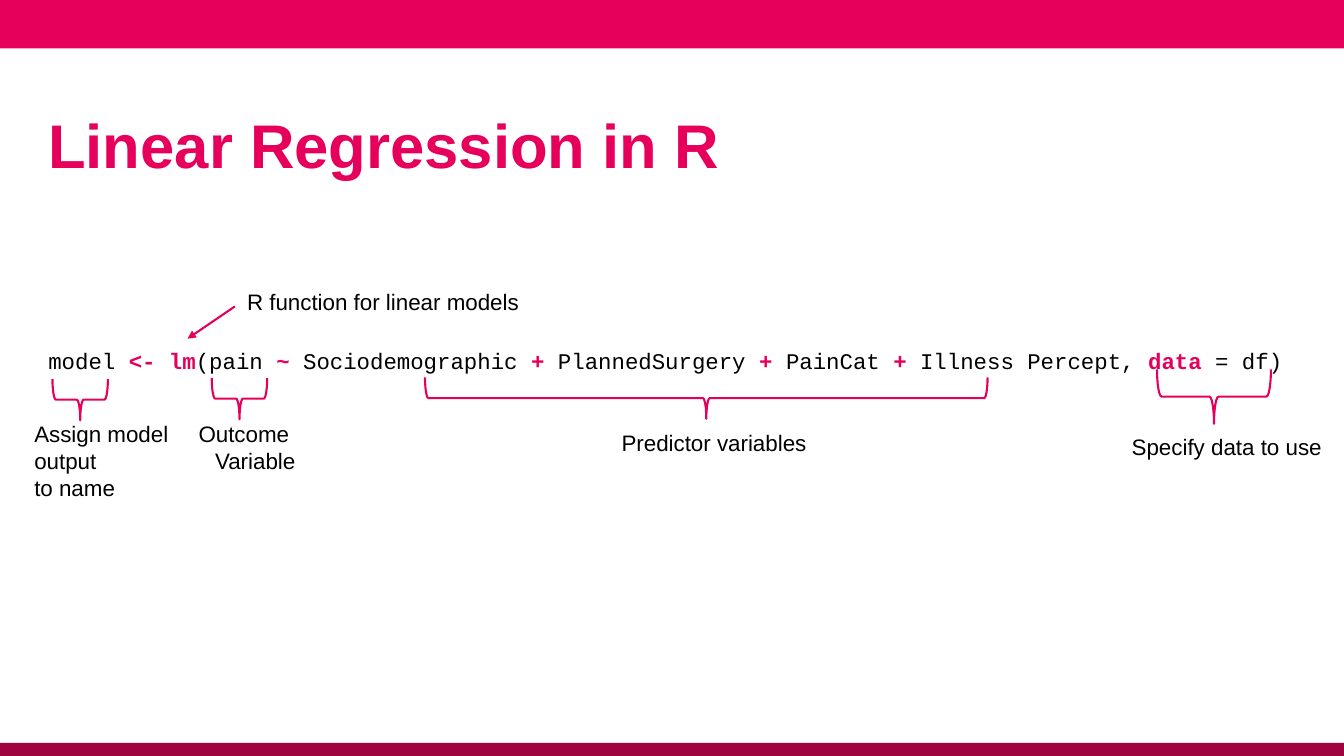
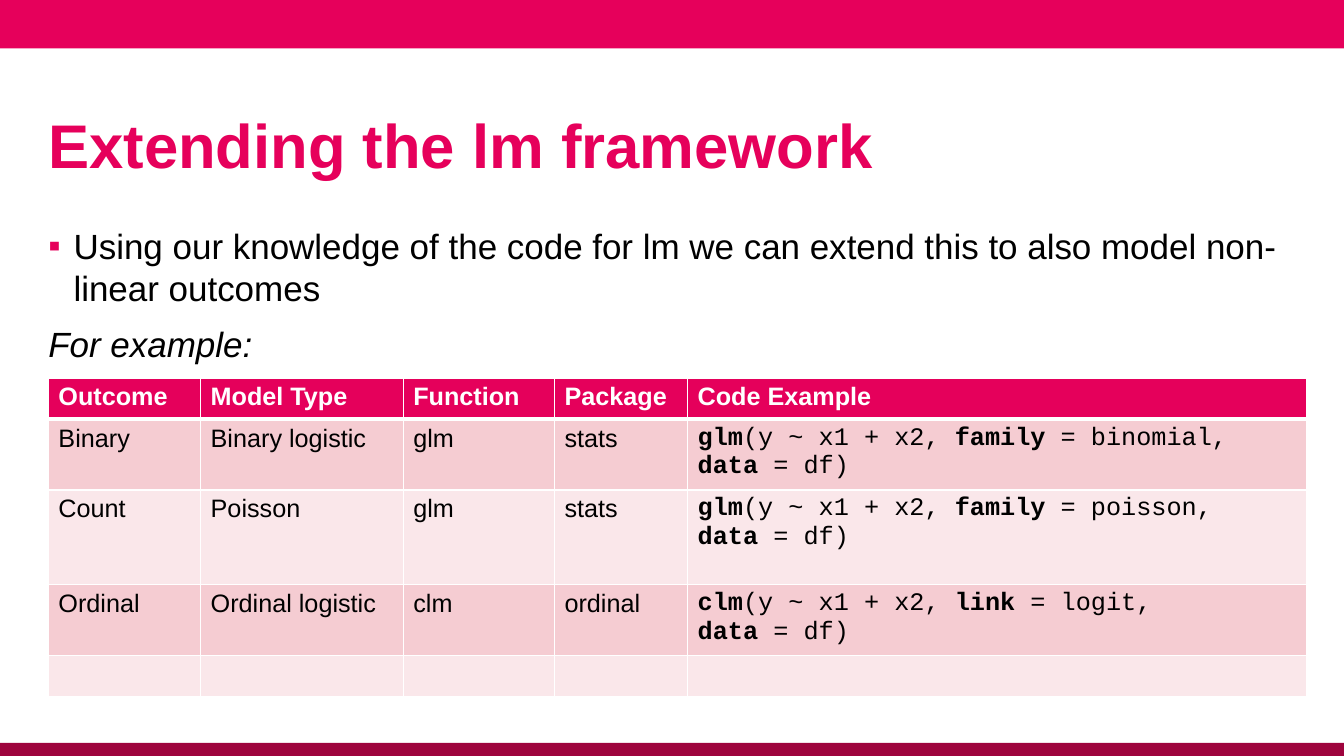
from lxml import etree
from pptx import Presentation
from pptx.dml.color import RGBColor
from pptx.enum.shapes import MSO_CONNECTOR, MSO_SHAPE
from pptx.enum.text import MSO_ANCHOR, PP_ALIGN
from pptx.oxml import parse_xml
from pptx.oxml.ns import nsdecls, qn
from pptx.util import Inches, Pt

BAND, ACCENT, DARK = "E6005B", "E5005B", "9E043D"
BLACK, WHITE = "000000", "FFFFFF"
ROW_TINTS = ("F5CCD2", "FAE7EA")
SANS, MONO = "Arial", "Courier New"
LEFT, RIGHT = PP_ALIGN.LEFT, PP_ALIGN.RIGHT


def rgb(value):
    return RGBColor.from_string(value)


def write(frame, lines, size, font=SANS, color=BLACK, bold_color=None, align=LEFT):
    """Fill a text frame; the parts of a line between bars are bold."""
    for number, line in enumerate(lines):
        para = frame.add_paragraph() if number else frame.paragraphs[0]
        para.alignment = align
        for index, piece in enumerate(line.split("|")):
            if not piece:
                continue
            bold = index % 2 == 1
            span = para.add_run()
            span.text = piece
            span.font.name, span.font.size, span.font.bold = font, Pt(size), bold
            span.font.color.rgb = rgb(bold_color if bold and bold_color else color)


deck = Presentation()
deck.slide_width, deck.slide_height = Inches(13.33), Inches(7.5)

# Shared bands, title and body frame
pages, bodies = [], []
for title, body_top, body_height in (
    ("Linear Regression in R", 3.39, 0.4),
    ("Extending the lm framework", 2.18, 1.5),
):
    page = deck.slides.add_slide(deck.slide_layouts[6])
    for top, height, color in ((0, 0.48, BAND), (7.37, 0.14, DARK)):
        band = page.shapes.add_shape(
            MSO_SHAPE.RECTANGLE, 0, Inches(top), deck.slide_width, Inches(height))
        band.shadow.inherit = False
        band.fill.solid()
        band.fill.fore_color.rgb = rgb(color)
        band.line.fill.background()
    frames = []
    for top, width, height in ((0.88, 12.36, 1.1), (body_top, 12.6, body_height)):
        box = page.shapes.add_textbox(Inches(0.48), Inches(top), Inches(width), Inches(height))
        frame = box.text_frame
        frame.word_wrap = True
        frame.margin_left = 0
        frames.append(frame)
    frames[0].vertical_anchor = MSO_ANCHOR.MIDDLE
    write(frames[0], [f"|{title}|"], 44, color=BAND)
    pages.append(page)
    bodies.append(frames[1])

# Slide 1: model code
regression, extension = pages
write(bodies[0], ["model |<- lm|(pain |~| Sociodemographic |+ |PlannedSurgery |+ |PainCat |+|"
                  " Illness Percept, |data| = df)"], 16, MONO, bold_color=ACCENT)

# Braces under the code, turned to point down
for left, top, width, height in (
    (0.59, 3.69, 0.41, 0.55),
    (2.17, 3.68, 0.41, 0.55),
    (6.8, 1.16, 0.41, 5.58),
    (11.77, 3.37, 0.54, 1.13),
):
    brace = regression.shapes.add_shape(
        MSO_SHAPE.RIGHT_BRACE, Inches(left), Inches(top), Inches(width), Inches(height))
    brace.rotation = 90
    brace.shadow.inherit = False
    brace.fill.background()
    brace.line.color.rgb = rgb(ACCENT)
    brace.line.width = Pt(1.5)

# Explanations, each box wide enough for its longest line
for left, top, width, align, lines in (
    (0.34, 3.97, 1.5, LEFT, ["Assign model", "output", "to name"]),
    (1.93, 3.7, 1, RIGHT, ["Outcome ", "Variable"]),
    (5.9, 3.52, 2.1, RIGHT, ["Predictor variables"]),
    (11.01, 3.56, 2.1, RIGHT, ["Specify data to use"]),
    (2.21, 2.13, 3, RIGHT, ["R function for linear models "]),
):
    label = regression.shapes.add_textbox(Inches(left), Inches(top), Inches(width), Inches(1))
    frame = label.text_frame
    frame.word_wrap = True
    frame.vertical_anchor = MSO_ANCHOR.BOTTOM
    frame.margin_left = frame.margin_right = frame.margin_top = frame.margin_bottom = 0
    write(frame, lines, 16, align=align)

# Arrow to the function name
arrow = regression.shapes.add_connector(
    MSO_CONNECTOR.STRAIGHT, Inches(2.33), Inches(3.04), Inches(1.86), Inches(3.36))
arrow.line.color.rgb = rgb(ACCENT)
arrow.line.width = Pt(1.5)
etree.SubElement(arrow.line._get_or_add_ln(), qn("a:tailEnd"), type="triangle")
etree.SubElement(arrow._element.spPr, qn("a:effectLst"))

# Slide 2: introduction
write(bodies[1], ["Using our knowledge of the code for lm we can extend this to also model "
                  "non-linear outcomes", "For example:"], 25)
bullet, example = bodies[1].paragraphs
example.space_before = Pt(10)
example.runs[0].font.italic = True
properties = bullet._p.get_or_add_pPr()
properties.set("marL", str(Inches(0.25)))
properties.set("indent", str(-Inches(0.25)))
bullet_color = etree.SubElement(properties, qn("a:buClr"))
etree.SubElement(bullet_color, qn("a:srgbClr"), val=BAND)
etree.SubElement(properties, qn("a:buFont"), typeface=SANS)
etree.SubElement(properties, qn("a:buChar"), char="▪")

# Model table
rows = [
    ("|Outcome|", "|Model Type|", "|Function|", "|Package|", ["|Code Example|"]),
    ("Binary", "Binary logistic", "glm", "stats",
     ["|glm|(y ~ x1 + x2, |family| = binomial, |data| = df)"]),
    ("Count", "Poisson", "glm", "stats",
     ["|glm|(y ~ x1 + x2, |family| = poisson,", "|data| = df)"]),
    ("Ordinal", "Ordinal logistic", "clm", "ordinal",
     ["|clm|(y ~ x1 + x2, |link| = logit,", "|data| = df)"]),
    ("", "", "", "", [""]),
]
widths = (1.51, 2.01, 1.5, 1.32, 6.14)
heights = (0.41, 0.66, 0.94, 0.66, 0.41)
table = extension.shapes.add_table(
    len(rows), len(widths), Inches(0.48), Inches(3.75),
    Inches(sum(widths)), Inches(sum(heights))).table
table.horz_banding = False
for column, width in zip(table.columns, widths):
    column.width = Inches(width)
for r, (row, height) in enumerate(zip(rows, heights)):
    table.rows[r].height = Inches(height)
    for c, content in enumerate(row):
        cell = table.cell(r, c)
        code = r > 0 and c == len(widths) - 1
        write(cell.text_frame, [content] if isinstance(content, str) else content, 18,
              MONO if code else SANS, BLACK if r else WHITE)
        # White rules, thicker below the header
        for side in ("lnL", "lnR", "lnT", "lnB"):
            thick = (r, side) in ((0, "lnB"), (1, "lnT"))
            cell._tc.get_or_add_tcPr().append(parse_xml(
                f'<a:{side} {nsdecls("a")} w="{Pt(3 if thick else 1)}"><a:solidFill>'
                f'<a:srgbClr val="{WHITE}"/></a:solidFill></a:{side}>'))
        cell.fill.solid()
        cell.fill.fore_color.rgb = rgb(ROW_TINTS[(r - 1) % 2] if r else ACCENT)

deck.save("out.pptx")
